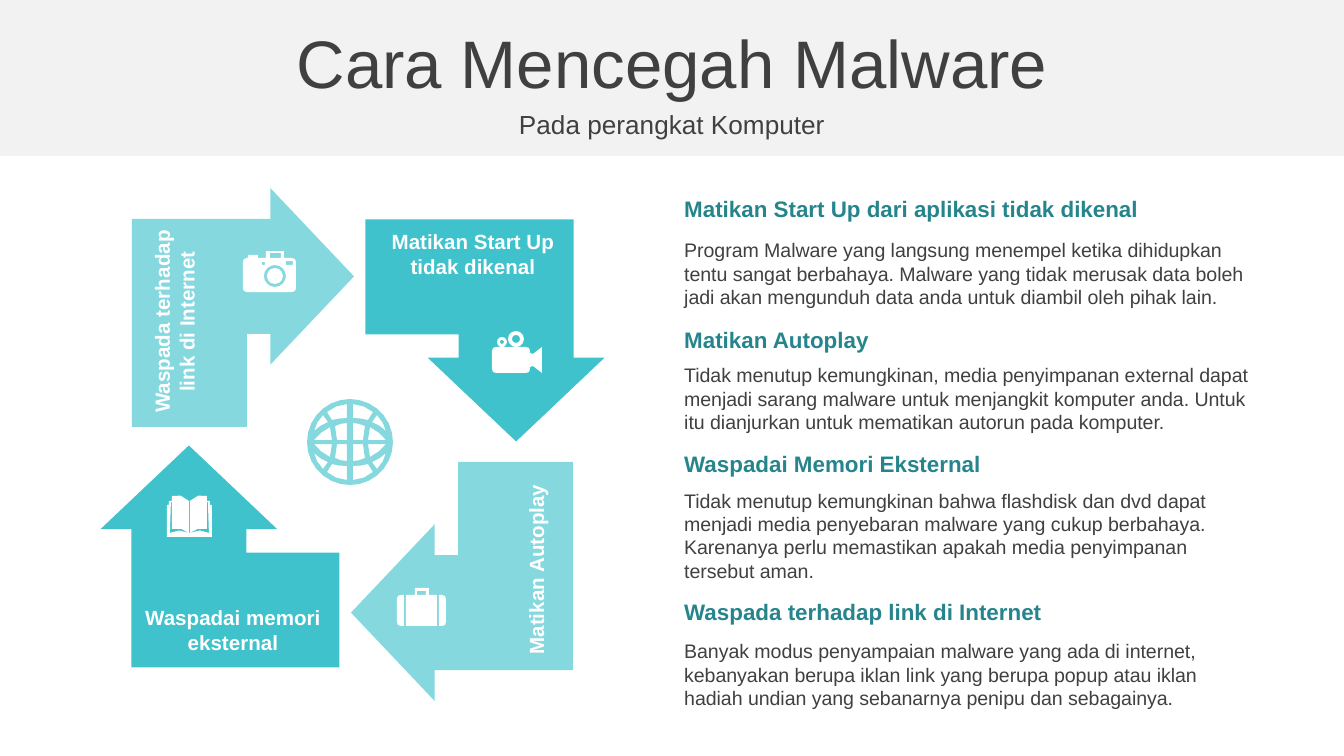
import math

import pptx
import pptx.dml.color
import pptx.enum.shapes
import pptx.enum.text
import pptx.util

PX = 9144000 / 1344
WHITE, BAND, DARK = "FFFFFF", "F2F2F2", "404040"
LIGHT_TEAL, TEAL, DEEP_TEAL = "85D8DE", "3FC2CB", "26858C"
CENTER = pptx.enum.text.PP_ALIGN.CENTER
LEFT = pptx.enum.text.PP_ALIGN.LEFT


def px(value):
    return pptx.util.Emu(round(value * PX))


def color(value):
    return pptx.dml.color.RGBColor.from_string(value)


def paint(shape, fill):
    shape.shadow.inherit = False
    shape.fill.solid()
    shape.fill.fore_color.rgb = color(fill)
    shape.line.fill.background()


def write(shape, text, size, ink, bold=False, align=LEFT):
    frame = shape.text_frame
    settings = {"word_wrap": True, "auto_size": pptx.enum.text.MSO_AUTO_SIZE.NONE,
                "vertical_anchor": pptx.enum.text.MSO_ANCHOR.MIDDLE}
    for name, value in settings.items():
        setattr(frame, name, value)
    para = frame.paragraphs[0]
    para.alignment = align
    span = para.add_run()
    span.text = text
    for name, value in {"name": "Arial", "size": pptx.util.Pt(size), "bold": bold}.items():
        setattr(span.font, name, value)
    span.font.color.rgb = color(ink)


def add_text(page, box, *style, rotation=0, **options):
    shape = page.shapes.add_textbox(*map(px, box))
    shape.rotation = rotation
    write(shape, *style, **options)


# Icon outlines: lists of points, relative to the top left of the icon

def outline(steps):
    """Points along steps of (x, y) for a line or (control x, control y, x, y) for a curve."""
    points = []
    for step in steps:
        if len(step) == 2:
            points.append(step)
            continue
        start, control, end = points[-1], step[:2], step[2:]
        middle = tuple((a + 2 * b + c) / 4 for a, b, c in zip(start, control, end))
        points += [middle, end]
    return points


def circle(x, y, radius):
    count = 12 + 4 * (radius // 10)
    angles = [math.tau * i / count for i in range(count)]
    return [(x + radius * math.cos(a), y + radius * math.sin(a)) for a in angles]


def block(left, top, right, bottom):
    return [(left, top), (right, top), (right, bottom), (left, bottom)]


def round_block(left, top, right, bottom, r):
    return outline([(left, top + r), (left, top, left + r, top), (right - r, top),
                    (right, top, right, top + r), (right, bottom - r),
                    (right, bottom, right - r, bottom), (left + r, bottom),
                    (left, bottom, left, bottom - r)])


def mirror(points, width):
    return [(width - x, y) for x, y in points]


def camera():
    return [round_block(0, 7, 53, 41, 4), block(5, 4, 15, 7),
            [(23, 7), (23, 0), (41, 0), (41, 7), (38, 7), (38, 2), (27, 2), (27, 7)],
            circle(32, 25, 11), circle(32, 25, 8),
            block(19, 11, 22, 14), block(43, 10, 50, 14)]


def book():
    cover = outline([(0, 42), (0, 10), (2, 10), (2, 6), (5, 6), (5, 1), (14, -2, 22, 6),
                     (23, 6), (31, -2, 40, 1), (40, 6), (43, 6), (43, 10), (45, 10), (45, 42)])
    gap = outline([(4, 7), (5, 7), (5, 34), (15, 32, 22, 38), (12, 33, 3, 38)])
    return [cover, gap, mirror(gap, 45), block(22, 6, 23, 38)]


def video_camera():
    return [round_block(0, 16, 38, 42, 4),
            [(38, 22), (41, 23), (50, 16), (50, 42), (41, 35), (38, 36)],
            circle(24, 8, 8), circle(24, 8, 4), circle(10, 11, 5), circle(10, 11, 2)]


def suitcase():
    side = outline([(7, 7), (7, 38), (4, 38), (0, 38, 0, 34), (0, 11), (0, 7, 4, 7)])
    handle = [(18, 7), (18, 0), (32, 0), (32, 7), (29, 7), (29, 3), (20, 3), (20, 7)]
    return [side, mirror(side, 49), block(9, 7, 40, 38), handle]


def globe():
    """A disc with four openings, repeated in each quarter."""
    openings = [
        [(2, 3), (19, 3), (19, 9, 16, 15), (2, 13)],
        [(24, 3), (38, 3), (37, 15, 30, 23), (22, 18), (24, 11, 24, 3)],
        [(2, 18), (15, 20), (10, 30, 2, 36)],
        [(20, 22), (27, 27), (20, 34, 11, 36), (17, 30, 20, 22)],
    ]
    return [circle(43, 43, 43)] + [
        [(43 + sx * x, 43 + sy * y) for x, y in outline(steps)]
        for steps in openings for sx in (1, -1) for sy in (1, -1)]


def add_icon(page, left, top, contours, fill, rotation=0):
    placed = [[(px(left + x), px(top + y)) for x, y in contour] for contour in contours]
    builder = page.shapes.build_freeform(*placed[0][0])
    for number, contour in enumerate(placed):
        if number:
            builder.move_to(*contour[0])
        builder.add_line_segments(contour[1:], close=True)
    shape = builder.convert_to_shape()
    paint(shape, fill)
    shape.rotation = rotation


def add_header(page, left, top, width, height):
    band = page.shapes.add_shape(pptx.enum.shapes.MSO_SHAPE.RECTANGLE,
                                 *map(px, (left, top, width, height)))
    paint(band, BAND)
    title = page.shapes.title
    title.element.addprevious(band.element)
    place = {"left": left, "top": top + 19, "width": width, "height": 85}
    for name, value in place.items():
        setattr(title, name, px(value))
    write(title, "Cara Mencegah Malware", 36, DARK, align=CENTER)
    add_text(page, (left, top + 103, width, 42), "Pada perangkat Komputer", 14, DARK,
             align=CENTER)


def add_cycle(page, left, top):
    """Four bent arrows turning clockwise around a globe."""
    arrows = [(32, 0), (274, 23), (251, 274), (9, 249)]
    for number, (x, y) in enumerate(arrows):
        arrow = page.shapes.add_shape(pptx.enum.shapes.MSO_SHAPE.BENT_ARROW,
                                      *map(px, (left + x, top + y, 222, 239)))
        for index, value in enumerate((0.518, 0.398, 0.377, 0)):
            arrow.adjustments[index] = value
        arrow.rotation = 90 * number
        paint(arrow, TEAL if number % 2 else LIGHT_TEAL)

    icons = [(143, 63, camera), (67, 307, book), (392, 143, video_camera), (297, 400, suitcase)]
    for x, y, draw in icons:
        add_icon(page, left + x, top + y, draw(), WHITE)
    add_icon(page, left + 207, top + 211, globe(), LIGHT_TEAL, rotation=270)

    labels = [(329, 362, 39, 270, "Matikan Autoplay"),
              (26, 410, 63, 0, "Waspadai memori eksternal"),
              (-33, 102, 63, 270, "Waspada terhadap link di Internet"),
              (266, 34, 63, 0, "Matikan Start Up tidak dikenal")]
    for x, y, height, rotation, text in labels:
        add_text(page, (left + x, top + y, 214, height), text, 11, WHITE,
                 rotation=rotation, bold=True, align=CENTER)


def add_tips(page, left, top, width):
    tips = [
        (0, 43, 85, "Matikan Start Up dari aplikasi tidak dikenal",
         "Program Malware yang langsung menempel ketika dihidupkan tentu sangat berbahaya. "
         "Malware yang tidak merusak data boleh jadi akan mengunduh data anda untuk diambil "
         "oleh pihak lain."),
        (131, 168, 85, "Matikan Autoplay",
         "Tidak menutup kemungkinan, media penyimpanan external dapat menjadi sarang malware "
         "untuk menjangkit komputer anda. Untuk itu dianjurkan untuk mematikan autorun pada "
         "komputer."),
        (255, 293, 109, "Waspadai Memori Eksternal",
         "Tidak menutup kemungkinan bahwa flashdisk dan dvd dapat menjadi media penyebaran "
         "malware yang cukup berbahaya. Karenanya perlu memastikan apakah media penyimpanan "
         "tersebut aman."),
        (403, 444, 85, "Waspada terhadap link di Internet",
         "Banyak modus penyampaian malware yang ada di internet, kebanyakan berupa iklan link "
         "yang berupa popup atau iklan hadiah undian yang sebanarnya penipu dan sebagainya."),
    ]
    for heading_top, body_top, body_height, heading, body in tips:
        add_text(page, (left, top + heading_top, width, 42), heading, 12, DEEP_TEAL, bold=True)
        add_text(page, (left, top + body_top, width, body_height), body, 10.5, DARK)


def main():
    deck = pptx.Presentation()
    deck.slide_width, deck.slide_height = px(1344), px(756)
    page = deck.slides.add_slide(deck.slide_layouts[5])
    add_header(page, 0, 0, 1344, 156)
    add_cycle(page, 100, 188)
    add_tips(page, 671, 188, 598)
    deck.save("out.pptx")


if __name__ == "__main__":
    main()
